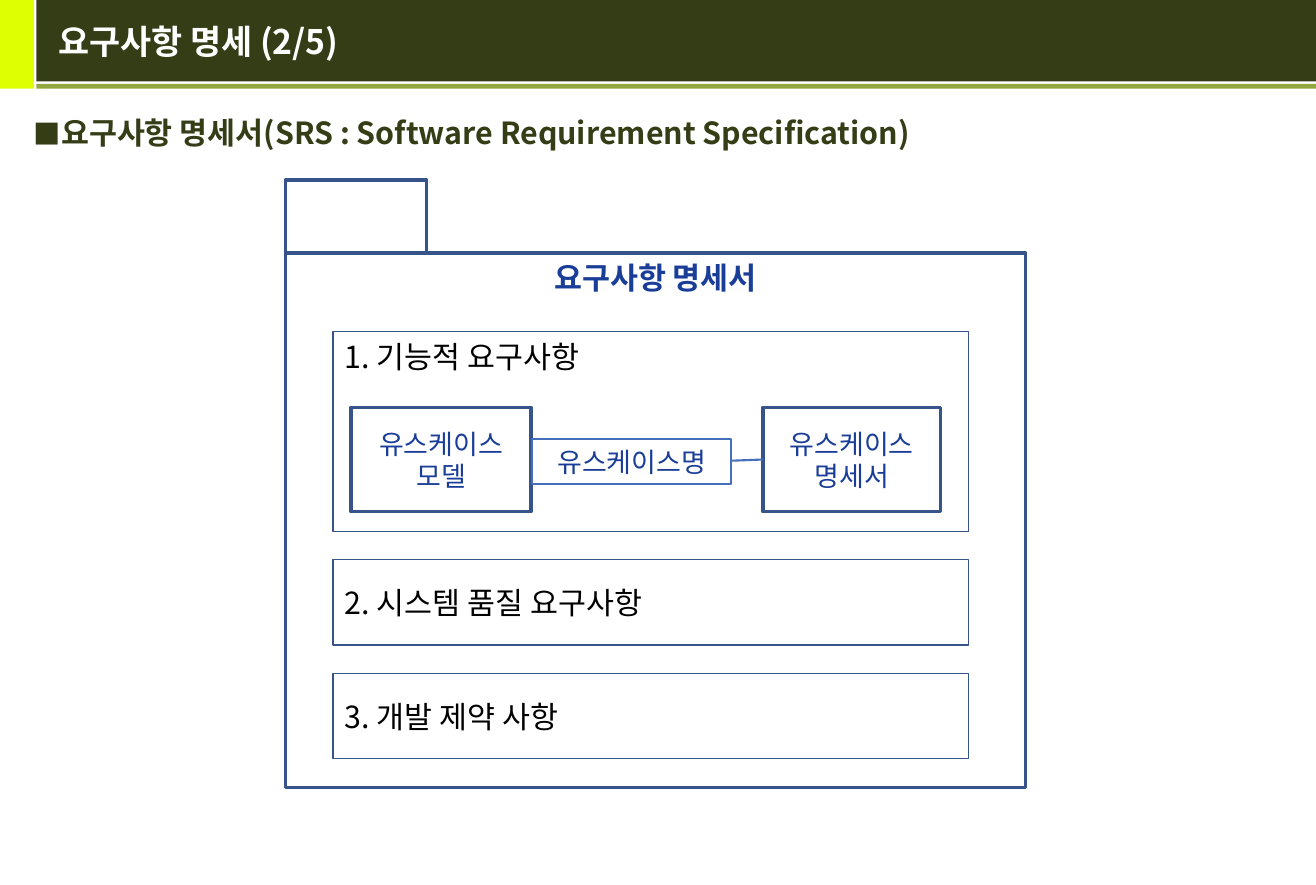
from dataclasses import dataclass

from lxml import etree
from pptx import Presentation
from pptx.dml.color import RGBColor
from pptx.enum.shapes import MSO_CONNECTOR, MSO_SHAPE
from pptx.enum.text import MSO_ANCHOR, PP_ALIGN
from pptx.oxml.ns import qn
from pptx.util import Emu, Inches, Pt

RECT, STRAIGHT = MSO_SHAPE.RECTANGLE, MSO_CONNECTOR.STRAIGHT
TOP, MIDDLE = MSO_ANCHOR.TOP, MSO_ANCHOR.MIDDLE
LEFT, CENTER = PP_ALIGN.LEFT, PP_ALIGN.CENTER
FONT = "Noto Sans CJK KR"
COLORS = {
    "lime": "DEFF02", "olive": "353D17", "moss": "93A73F", "white": "FFFFFF",
    "black": "000000", "navy": "36548A", "blue": "456FBA", "ink": "1A3D97",
}

prs = Presentation()
prs.slide_width, prs.slide_height = Inches(10.83), Inches(7.28)
s = prs.slides.add_slide(prs.slide_layouts[6])


@dataclass
class Box:
    """A rectangle in percent of the slide's width and height."""
    x: float
    y: float
    w: float
    h: float
    fill: str = ""
    line: str = ""
    weight: float = 2


def across(share: float) -> Emu:
    return Emu(round(prs.slide_width * share / 100))


def down(share: float) -> Emu:
    return Emu(round(prs.slide_height * share / 100))


def rgb(name: str) -> RGBColor:
    return RGBColor.from_string(COLORS[name])


def place(box: Box) -> tuple[Emu, Emu, Emu, Emu]:
    return across(box.x), down(box.y), across(box.w), down(box.h)


def draw_box(box: Box):
    sp = s.shapes.add_shape(RECT, *place(box))
    sp.shadow.inherit = False
    if box.fill:
        sp.fill.solid()
        sp.fill.fore_color.rgb = rgb(box.fill)
    else:
        sp.fill.background()
    if box.line:
        sp.line.color.rgb = rgb(box.line)
        sp.line.width = Pt(box.weight)
    else:
        sp.line.fill.background()
    return sp


def write(sp, text: str, *, size: float = 18, color: str = "black", bold: bool = False,
          align=LEFT, anchor=MIDDLE, side: float = 0.1) -> None:
    tf = sp.text_frame
    tf.word_wrap = True
    tf.vertical_anchor = anchor
    tf.margin_left = tf.margin_right = Inches(side)
    for i, words in enumerate(text.split("\n")):
        p = tf.add_paragraph() if i else tf.paragraphs[0]
        p.alignment = align
        r = p.add_run()
        r.text = words
        r.font.name, r.font.size, r.font.bold = FONT, Pt(size), bold
        r.font.color.rgb = rgb(color)
        etree.SubElement(r.font._element, qn("a:ea"), typeface=FONT)


def add_bullet(p, char: str, color: str, indent: float) -> None:
    pPr = p._p.get_or_add_pPr()
    pPr.set("marL", str(Inches(indent)))
    pPr.set("indent", str(-Inches(indent)))
    buClr = etree.SubElement(pPr, qn("a:buClr"))
    etree.SubElement(buClr, qn("a:srgbClr"), val=COLORS[color])
    etree.SubElement(pPr, qn("a:buSzPct"), val="90000")
    etree.SubElement(pPr, qn("a:buFont"), typeface=FONT)
    etree.SubElement(pPr, qn("a:buChar"), char=char)


def draw_link(x1: float, y1: float, x2: float, y2: float) -> None:
    link = s.shapes.add_connector(STRAIGHT, across(x1), down(y1), across(x2), down(y2))
    link.line.color.rgb = rgb("blue")
    link.line.width = Pt(1.25)
    etree.SubElement(link._element.spPr, qn("a:effectLst"))


# Header band
for band in (Box(0, 0, 2.59, 10.03, fill="lime"),
             Box(2.77, 0, 97.23, 9.2, fill="olive"),
             Box(2.77, 9.48, 97.23, 0.55, fill="moss")):
    draw_box(band)
title = s.shapes.add_textbox(*place(Box(3.51, 0, 95.29, 9.34)))
write(title, "요구사항 명세 (2/5)", size=20, color="white", bold=True)

# Heading
heading = s.shapes.add_textbox(*place(Box(1.66, 12.23, 96.68, 6)))
write(heading, "요구사항 명세서(SRS : Software Requirement Specification)",
      color="olive", bold=True, anchor=TOP)
add_bullet(heading.text_frame.paragraphs[0], "■", "olive", 0.2)

# Folder and its tab
folder = Box(21.7, 28.57, 56.23, 60.44, line="navy")
write(draw_box(folder), "요구사항 명세서", color="ink", bold=True, align=CENTER, anchor=TOP)
TAB_H = 8.24
draw_box(Box(folder.x, folder.y - TAB_H, 10.71, TAB_H, line="navy"))

# Numbered sections, stacked with equal gaps
SECTION_GAP = 3.22
y = 37.5
for text, height, anchor in (("1. 기능적 요구사항", 22.53, TOP),
                             ("2. 시스템 품질 요구사항", 9.62, MIDDLE),
                             ("3. 개발 제약 사항", 9.62, MIDDLE)):
    section = Box(25.3, y, 48.29, height, line="navy", weight=0.75)
    write(draw_box(section), text, anchor=anchor)
    y += height + SECTION_GAP

# Use case model, name and specification
model = Box(26.69, 46.02, 13.67, 11.81, line="navy")
name = Box(40.44, 49.59, 15.14, 5.08, line="blue", weight=1.25)
detail = Box(57.99, model.y, 13.48, model.h, line="navy")
for box, text, side in ((model, "유스케이스\n모델", 0.1),
                        (name, "유스케이스명", 0),
                        (detail, "유스케이스\n명세서", 0.1)):
    write(draw_box(box), text, size=16, color="ink", align=CENTER, side=side)
draw_link(name.x + name.w, 52.06, detail.x, detail.y + detail.h / 2)

prs.save("out.pptx")
